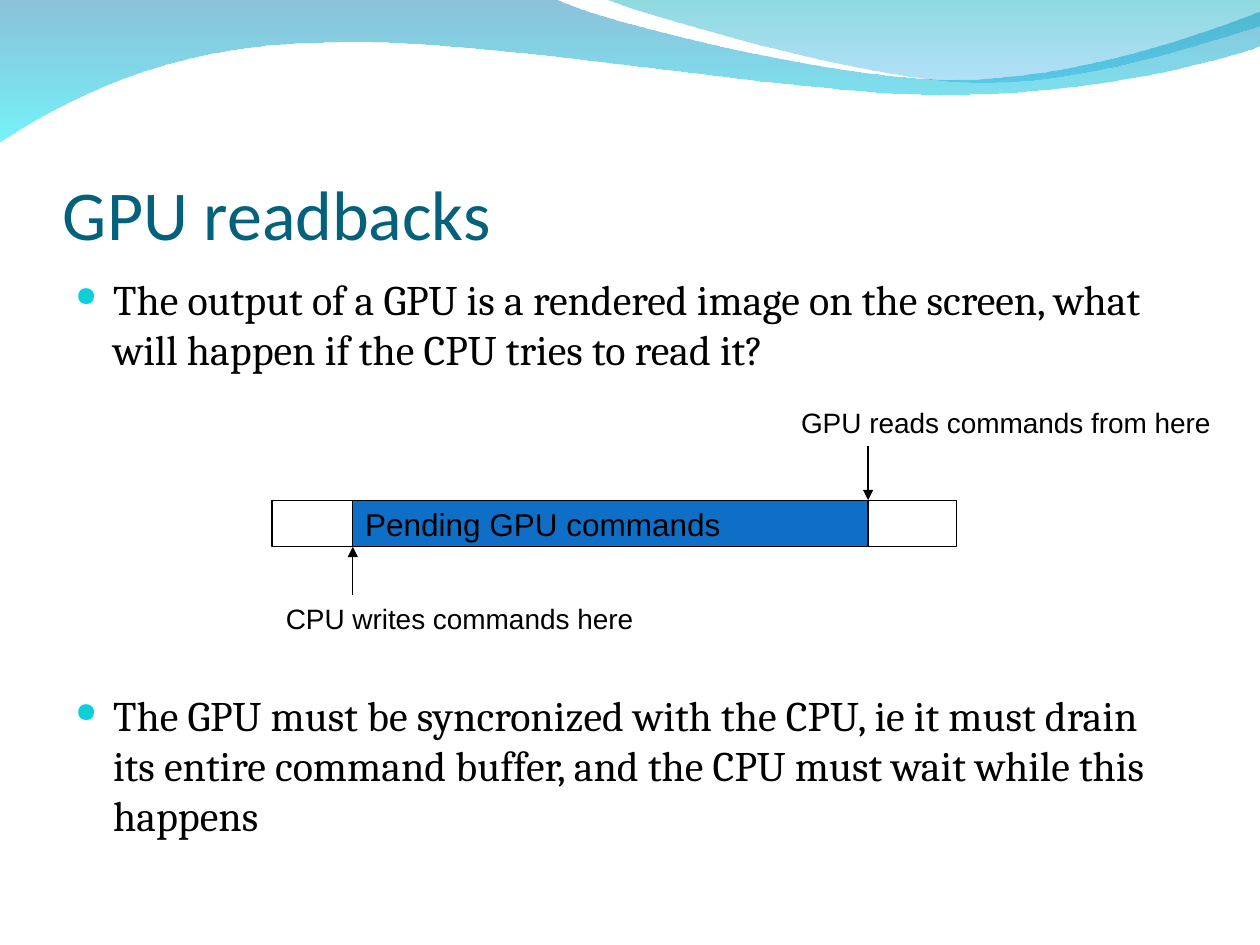
"""Builds the slide on GPU readbacks with its command buffer diagram."""
from lxml.etree import SubElement
from pptx import Presentation
from pptx.dml.color import RGBColor as Rgb
from pptx.enum.shapes import MSO_CONNECTOR as Link, MSO_SHAPE as Shape
from pptx.enum.text import MSO_ANCHOR as Anchor, PP_ALIGN as Align
from pptx.oxml.ns import qn
from pptx.util import Inches as In, Pt

WIDE, HIGH = 10, 7.5
UNIT = 1000
HUES = {"title": "04617B", "dot": "0BD0D9", "ink": "000000",
        "paper": "FFFFFF", "busy": "0F6FC6"}
TITLE = "GPU readbacks"
POINTS = [
    ("The output of a GPU is a rendered image on the screen, "
     "what will happen if the CPU tries to read it?", 0),
    ("The GPU must be syncronized with the CPU, ie it must drain its entire "
     "command buffer, and the CPU must wait while this happens", 180),
]
WAVES = [
    ([[(0, -0.01)], [(4.4, -0.01)],
      [(4.76, 0.17), (6.64, 0.63), (7.58, 0.63)],
      [(8.53, 0.63), (9.58, 0.26), (10, 0.09)], [(10.01, 0.36)],
      [(9.83, 0.44), (8.7, 0.76), (7.46, 0.75)],
      [(6.22, 0.75), (3.82, 0.28), (2.57, 0.34)],
      [(1.29, 0.35), (0.46, 0.83), (-0.01, 1.13)]],
     [("0079AF", 45), ("00EBF8", 55)]),
    ([[(4.79, -0.01)],
      [(5.09, 0.11), (6.82, 0.62), (7.69, 0.65)],
      [(8.56, 0.69), (9.61, 0.32), (10, 0.21)], [(10, 0)]],
     [("00ADB6", 45), ("009BE5", 30)]),
]
ROW, TOP = 0.37, 3.97
BUFFER = (2.16, 5.43)
BUSY = (2.8, 4.09)
TAG = 1.26
TAGS = [
    ("CPU writes commands here", BUSY[0], TOP + 2 * ROW + 0.01, 0, TOP + ROW),
    ("GPU reads commands from here", sum(BUSY), TOP - 0.8, 2, TOP),
]


def curve(form, steps):
    ends = [step[-1] for step in steps]
    left, top = (min(axis) for axis in zip(*ends))
    lines = list(form._element.iter(qn("a:lnTo")))
    for line, step in zip(lines, steps[1:]):
        if len(step) == 3:
            line.clear()
            bend = SubElement(line.getparent(), qn("a:cubicBezTo"))
            for x, y in step:
                SubElement(bend, qn("a:pt"), x=str(round((x - left) * UNIT)),
                           y=str(round((y - top) * UNIT)))
            line.getparent().replace(line, bend)


def wave(shapes, steps, stops):
    ends = [[round(n * UNIT) for n in step[-1]] for step in steps]
    pen = shapes.build_freeform(*ends[0], scale=In(1) / UNIT)
    pen.add_line_segments(ends[1:])
    form = pen.convert_to_shape()
    curve(form, steps)
    form.shadow.inherit = False
    form.line.fill.background()
    form.fill.gradient()
    form.fill.gradient_angle = 270
    for stop, (hue, alpha) in zip(form.fill.gradient_stops, stops):
        stop.color.rgb = Rgb.from_string(hue)
    tints = form._element.spPr.iter(qn("a:srgbClr"))
    for tint, (hue, alpha) in zip(tints, stops):
        SubElement(tint, qn("a:alpha"), val=str(alpha * 1000))


def style(para, size, face, hue):
    font = para.font
    font.size, font.name = Pt(size), face
    font.color.rgb = Rgb.from_string(HUES[hue])


def area(shapes, x, y, w, h):
    box = shapes.add_textbox(In(x), In(y), In(w), In(h))
    box.text_frame.word_wrap = True
    return box.text_frame


def bullet(para):
    props = para._p.get_or_add_pPr()
    props.set("marL", str(In(0.3)))
    props.set("indent", str(-In(0.3)))
    tint = SubElement(props, qn("a:buClr"))
    SubElement(tint, qn("a:srgbClr"), val=HUES["dot"])
    SubElement(props, qn("a:buSzPct"), val="65000")
    SubElement(props, qn("a:buChar"), char="●")


def block(shapes, x, y, w, fill, text="", size=16, edge=True):
    rect = shapes.add_shape(Shape.RECTANGLE, In(x), In(y), In(w), In(ROW))
    rect.shadow.inherit = False
    rect.fill.solid()
    rect.fill.fore_color.rgb = Rgb.from_string(HUES[fill])
    if edge:
        rect.line.color.rgb = Rgb.from_string(HUES["ink"])
        rect.line.width = Pt(0.75)
    else:
        rect.line.fill.background()
    if text:
        frame = rect.text_frame
        frame.word_wrap, frame.vertical_anchor = False, Anchor.MIDDLE
        para = frame.paragraphs[0]
        para.text, para.alignment = text, Align.LEFT
        style(para, size, "Arial", "ink")
    return rect


def arrow(shapes, rect, side, x, y):
    line = shapes.add_connector(Link.STRAIGHT, In(x), In(y), In(x), In(y))
    line.begin_connect(rect, side)
    line.end_x, line.end_y = In(x), In(y)
    line.line.color.rgb = Rgb.from_string(HUES["ink"])
    line.line.width = Pt(0.75)
    SubElement(line.line._get_or_add_ln(), qn("a:tailEnd"), type="triangle")
    SubElement(line._element.spPr, qn("a:effectLst"))


def main():
    deck = Presentation()
    deck.slide_width, deck.slide_height = In(WIDE), In(HIGH)
    shapes = deck.slides.add_slide(deck.slide_layouts[6]).shapes
    for steps, stops in WAVES:
        wave(shapes, steps, stops)

    head = area(shapes, 0.5, 0.77, 0.9 * WIDE, 1.25)
    head.margin_left = head.margin_right = 0
    head.margin_bottom = 0
    head.vertical_anchor = Anchor.BOTTOM
    head.text = TITLE
    style(head.paragraphs[0], 40, "Calibri", "title")

    body = area(shapes, 0.5, 2.12, 0.9 * WIDE, 4.8)
    for i, (text, gap) in enumerate(POINTS):
        para = body.add_paragraph() if i else body.paragraphs[0]
        para.text = text
        if gap:
            para.space_before = Pt(gap)
        bullet(para)
        style(para, 24, "Cambria", "ink")

    block(shapes, BUFFER[0], TOP, BUFFER[1], "paper")
    for text, x, y, side, tip in TAGS:
        rect = block(shapes, x - TAG / 2, y, TAG, "paper", text, edge=False)
        arrow(shapes, rect, side, x, tip)
    block(shapes, BUSY[0], TOP, BUSY[1], "busy", "Pending GPU commands", 18)
    deck.save("out.pptx")


if __name__ == "__main__":
    main()
